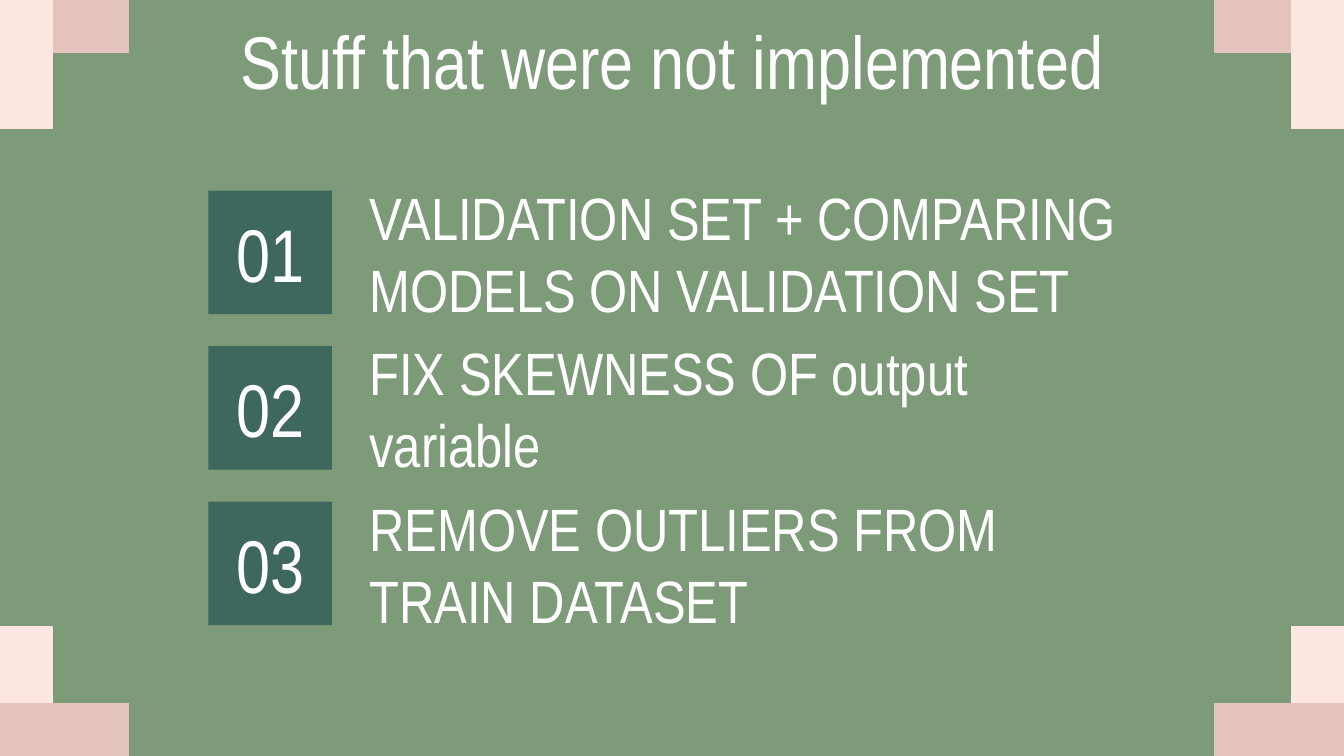
from pptx import Presentation
from pptx.dml.color import RGBColor
from pptx.enum.shapes import MSO_SHAPE
from pptx.enum.text import MSO_ANCHOR, PP_ALIGN
from pptx.util import Pt

RECT = MSO_SHAPE.RECTANGLE
MIDDLE = MSO_ANCHOR.MIDDLE
LEFT, CENTER = PP_ALIGN.LEFT, PP_ALIGN.CENTER

# Content
TITLE = "Stuff that were not implemented"
ITEMS = [
    "VALIDATION SET + COMPARING MODELS ON VALIDATION SET",
    "FIX SKEWNESS OF output variable",
    "REMOVE OUTLIERS FROM TRAIN DATASET",
]

# Style
FONT = "Arial Narrow"
GREEN, TEAL, WHITE = "7D9A79", "3E675D", "FFFFFF"
ROSE, BLUSH = "E6C4BE", "FFE7E1"

# Layout in points
WIDE, HIGH = 720, 405
THICK, LONG = 28, 69
TILE, TOP, STEP = 66.2, 102.1, 83.3
TILE_X, TEXT_X, TEXT_W = 111.6, 190.8, 420.6


def color(code):
    return RGBColor.from_string(code)


def add_rect(x, y, w, h, fill, line=None):
    rect = slide.shapes.add_shape(RECT, Pt(x), Pt(y), Pt(w), Pt(h))
    rect.shadow.inherit = False
    rect.fill.solid()
    rect.fill.fore_color.rgb = color(fill)
    if line:
        rect.line.color.rgb = color(line)
        rect.line.width = Pt(0.75)
    else:
        rect.line.fill.background()
    return rect


def add_box(x, y, w, h):
    return slide.shapes.add_textbox(Pt(x), Pt(y), Pt(w), Pt(h))


def write(shape, text, size=40, align=CENTER):
    frame = shape.text_frame
    frame.word_wrap = True
    frame.vertical_anchor = MIDDLE
    frame.margin_left = frame.margin_right = Pt(7.2)
    frame.margin_top = frame.margin_bottom = Pt(7.2)
    para = frame.paragraphs[0]
    para.alignment = align
    run = para.add_run()
    run.text = text
    run.font.name = FONT
    run.font.size = Pt(size)
    run.font.color.rgb = color(WHITE)


deck = Presentation()
deck.slide_width, deck.slide_height = Pt(WIDE), Pt(HIGH)
slide = deck.slides.add_slide(deck.slide_layouts[6])
slide.background.fill.solid()
slide.background.fill.fore_color.rgb = color(GREEN)

# Corner bars: blush lies in front at the top, rose at the bottom
for right in (True, False):
    for low in (False, True):
        bars = [(LONG, THICK, ROSE), (THICK, LONG, BLUSH)]
        for w, h, tint in reversed(bars) if low else bars:
            x = WIDE - w if right else 0
            y = HIGH - h if low else 0
            add_rect(x, y, w, h, tint, line=tint)

# Title
write(add_box(115.9, 7.2, 488.2, 49.7), TITLE)

# Numbered items
for i, item in enumerate(ITEMS):
    y = TOP + i * STEP
    write(add_rect(TILE_X, y, TILE, TILE, TEAL), f"{i + 1:02}")
    write(add_box(TEXT_X, y, TEXT_W, TILE), item, size=32, align=LEFT)

deck.save("out.pptx")
